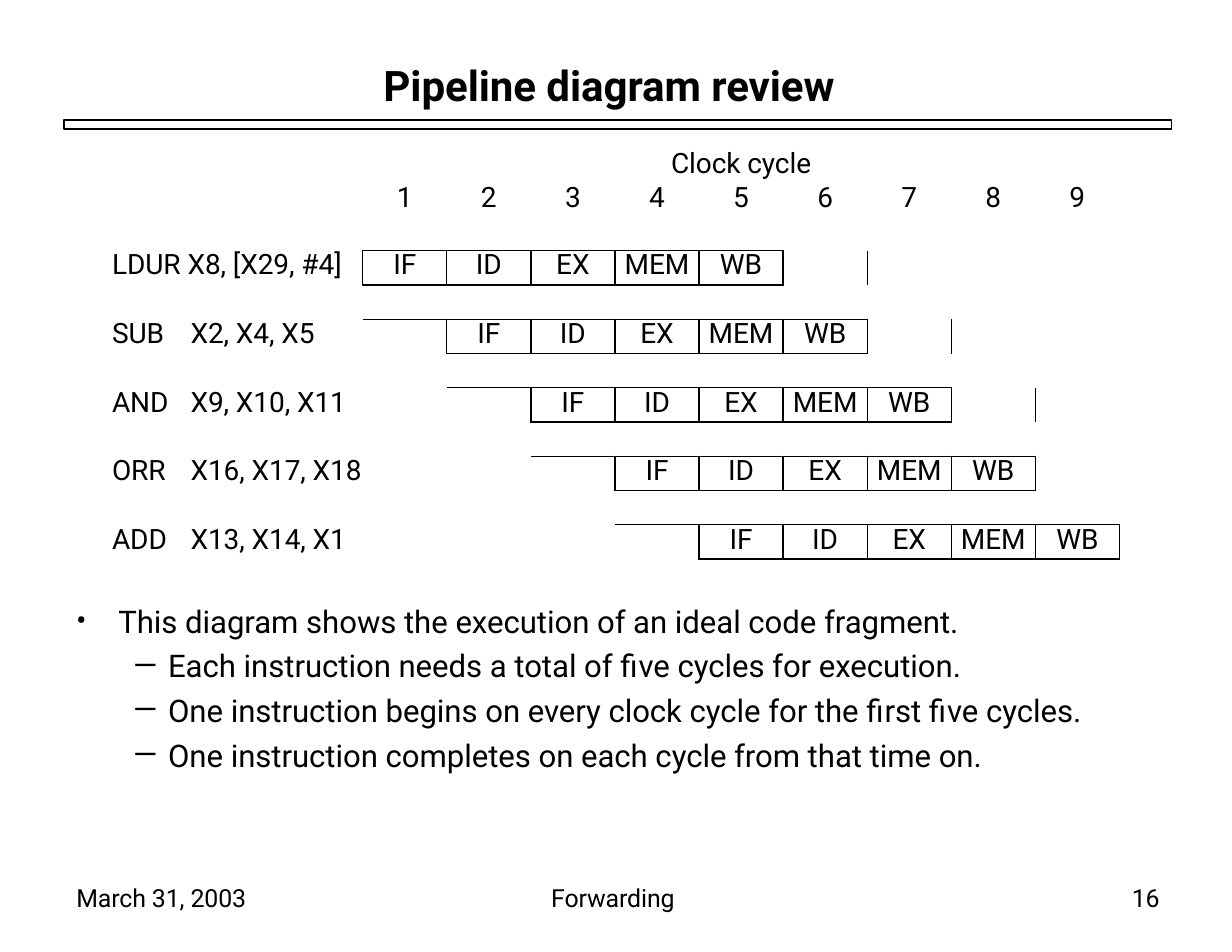
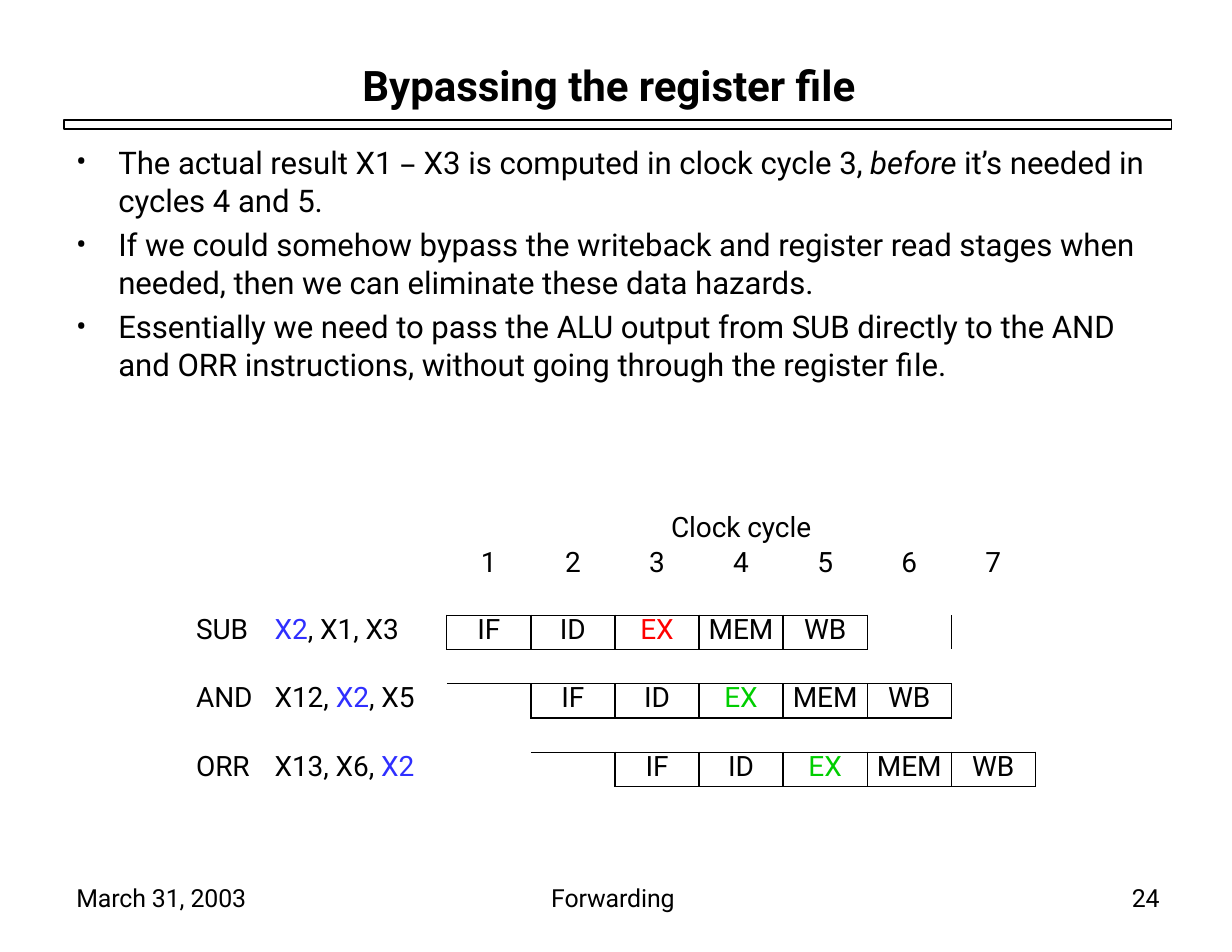
from lxml.etree import SubElement as Sub
from pptx import Presentation
from pptx.dml.color import RGBColor as RGB
from pptx.enum.shapes import MSO_SHAPE as SHAPE
from pptx.enum.text import MSO_ANCHOR as ANCHOR, MSO_AUTO_SIZE as FIT, PP_ALIGN as ALIGN
from pptx.oxml.ns import qn
from pptx.util import Pt

BLACK, BLUE, RED, GREEN = "000000", "2F2FFF", "FF0000", "00CE00"
FONT = "Roboto"
STAGES = ["IF", "ID", "EX", "MEM", "WB"]
NO_GRID = "{2D5ABB26-0587-4C30-8999-92F81FD0307C}"
LABEL, CYCLE, ROW = 171, 54, 21.6
BULLETS = [("•", 28, -27), ("—", 60, -22.4)]


def paint(code):
    return RGB.from_string(code)


class Deck:
    """Holds the lecture style and the slide being built."""

    def __init__(self):
        self.prs = Presentation()
        self.prs.slide_width, self.prs.slide_height = Pt(791.28), Pt(611.28)
        self.slide = None

    def start(self, title, number):
        self.slide = self.prs.slides.add_slide(self.prs.slide_layouts[5])
        self.title(title)
        self.band()
        for text, left, width in [("March 31, 2003", 49, 115),
                                  ("Forwarding", 354, 90), (str(number), 727, 30)]:
            frame = self.box(left, 566.6, width, 21)
            self.put(frame.paragraphs[0], text, 16)

    def title(self, text):
        shape = self.slide.shapes.title
        shape.left, shape.top, shape.width, shape.height = Pt(91), Pt(38), Pt(600), Pt(34)
        self.bare(shape.text_frame)
        para = shape.text_frame.paragraphs[0]
        para.alignment = ALIGN.CENTER
        self.put(para, text, 27, bold=True)

    def band(self):
        bar = self.slide.shapes.add_shape(SHAPE.RECTANGLE, Pt(41), Pt(77), Pt(711.4), Pt(5.8))
        bar.shadow.inherit = False
        bar.fill.background()
        bar.line.color.rgb = paint(BLACK)
        bar.line.width = Pt(1)

    def bare(self, frame):
        frame.margin_left = frame.margin_right = frame.margin_top = frame.margin_bottom = 0
        frame.word_wrap = True
        frame.auto_size = FIT.NONE
        frame.vertical_anchor = ANCHOR.TOP

    def box(self, left, top, width, height):
        frame = self.slide.shapes.add_textbox(Pt(left), Pt(top), Pt(width), Pt(height)).text_frame
        self.bare(frame)
        return frame

    def put(self, para, text, size, bold=False, marks={}):
        for piece in text.split("|"):
            look = marks.get(piece, {})
            run = para.add_run()
            run.text = piece
            run.font.name = look.get("font", FONT)
            run.font.size = Pt(size)
            run.font.bold = bold
            run.font.italic = look.get("italic", False)
            run.font.color.rgb = paint(look.get("color", BLACK))
            run._r.get_or_add_rPr().set("spc", "-5")

    def list(self, top, height, items, marks={}):
        frame = self.box(48, top, 695, height)
        for i, (level, text) in enumerate(items):
            para = frame.add_paragraph() if i else frame.paragraphs[0]
            sign, margin, indent = BULLETS[level]
            para.level = level
            para.space_before = Pt(4.7 if i else 0)
            props = para._p.get_or_add_pPr()
            props.set("marL", str(Pt(margin)))
            props.set("indent", str(Pt(indent)))
            Sub(props, qn("a:buFont"), typeface=FONT)
            Sub(props, qn("a:buChar"), char=sign)
            para.font.size = Pt(20)
            self.put(para, text, 20, marks=marks)

    def edge(self, cell, side, shown):
        line = Sub(cell._tc.get_or_add_tcPr(), qn("a:ln" + side), w=str(Pt(1)))
        if shown:
            Sub(Sub(line, qn("a:solidFill")), qn("a:srgbClr"), val=BLACK)
        else:
            Sub(line, qn("a:noFill"))

    def fill(self, cell, text, marks={}):
        para = cell.text_frame.paragraphs[0]
        para.alignment = ALIGN.CENTER
        para.line_spacing = Pt(20)
        self.put(para, text, 18, marks=marks)
        return para

    def pipe(self, left, top, codes, marks={}, hues={}):
        cycles = len(codes) + len(STAGES) - 1
        rows, cols = 2 * len(codes) + 1, cycles + 1
        grid = self.slide.shapes.add_table(
            rows, cols, Pt(left), Pt(top), Pt(LABEL + cycles * CYCLE), Pt((rows + 1) * ROW)).table
        grid.first_row = grid.horz_banding = False
        grid._tbl.tblPr.find(qn("a:tableStyleId")).text = NO_GRID
        for i, col in enumerate(grid.columns):
            col.width = Pt(CYCLE if i else LABEL)
        for i, row in enumerate(grid.rows):
            row.height = Pt(2 * ROW if i == 1 else ROW)

        flat, tall = set(), set()
        for i in range(len(codes)):
            row = 2 * i + 2
            for col in range(i + 1, i + 1 + len(STAGES)):
                flat |= {(row, col), (row + 1, col)}
                tall |= {(row, col), (row, col + 1)}
            if i:
                flat.add((row, i))
            if i + 7 < cols:
                tall.add((row, i + 7))

        for row in range(rows):
            for col in range(cols):
                cell = grid.cell(row, col)
                cell.margin_left = cell.margin_right = cell.margin_top = cell.margin_bottom = 0
                cell.text_frame.paragraphs[0].line_spacing = Pt(12)
                for side, shown in [("L", (row, col) in tall), ("R", (row, col + 1) in tall),
                                    ("T", (row, col) in flat), ("B", (row + 1, col) in flat)]:
                    self.edge(cell, side, shown)
                cell.fill.background()

        head = grid.cell(0, 1)
        head.merge(grid.cell(0, cycles))
        self.fill(head, "Clock cycle")
        for col in range(1, cols):
            self.fill(grid.cell(1, col), str(col))
        for i, code in enumerate(codes):
            name = grid.cell(2 * i + 2, 0)
            name.margin_left = Pt(10)
            para = self.fill(name, code, marks)
            para.alignment = ALIGN.LEFT
            tabs = Sub(para._p.get_or_add_pPr(), qn("a:tabLst"))
            Sub(tabs, qn("a:tab"), pos=str(Pt(50.4)), algn="l")
            for j, stage in enumerate(STAGES):
                look = {"EX": {"color": hues.get(i, BLACK)}}
                self.fill(grid.cell(2 * i + 2, i + j + 1), stage, look)


def main():
    deck = Deck()

    deck.start("Pipeline diagram review", 16)
    deck.pipe(62, 95.8, ["LDUR X8, [X29, #4]", "SUB\tX2, X4, X5", "AND\tX9, X10, X11",
                         "ORR\tX16, X17, X18", "ADD\tX13, X14, X1"])
    deck.list(386.6, 112, [
        (0, "This diagram shows the execution of an ideal code fragment."),
        (1, "Each instruction needs a total of five cycles for execution."),
        (1, "One instruction begins on every clock cycle for the first five cycles."),
        (1, "One instruction completes on each cycle from that time on.")])

    deck.start("Bypassing the register file", 24)
    deck.list(92.2, 156, [
        (0, "The actual result X1 |– |X3 is computed in clock cycle 3, |before |"
            "it’s needed in cycles 4 and 5."),
        (0, "If we could somehow bypass the writeback and register read stages when "
            "needed, then we can eliminate these data hazards."),
        (0, "Essentially we need to pass the ALU output from SUB directly to the AND "
            "and ORR instructions, without going through the register file.")],
        {"– ": {"font": "Open Sans"}, "before ": {"italic": True}})
    deck.pipe(116, 329.8, ["SUB\t|X2|, X1, X3", "AND\tX12, |X2|, X5", "ORR\tX13, X6, |X2"],
              {"X2": {"color": BLUE}}, {0: RED, 1: GREEN, 2: GREEN})

    deck.prs.save("out.pptx")


if __name__ == "__main__":
    main()
